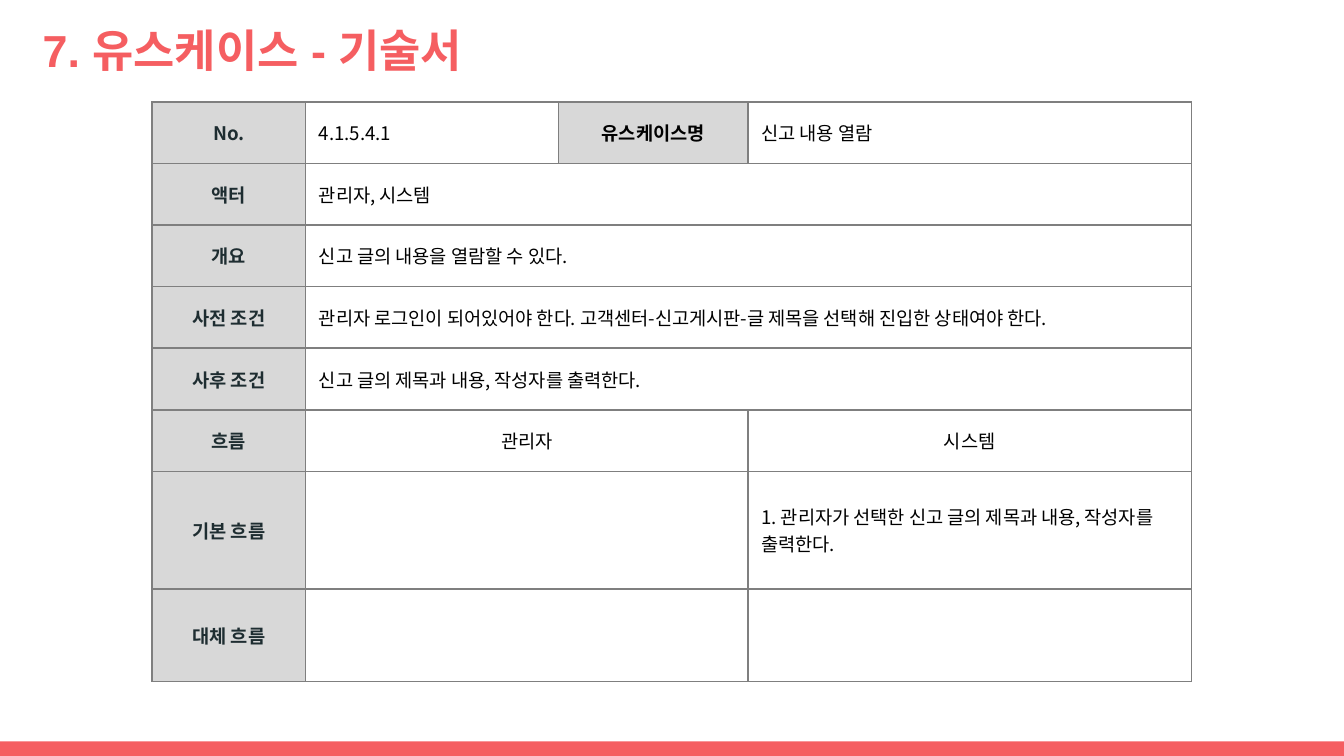
import pptx
import pptx.util
import pptx.dml.color
import pptx.enum.shapes
import pptx.enum.text
import pptx.oxml
import pptx.oxml.ns

Pt = pptx.util.Pt
RGBColor = pptx.dml.color.RGBColor
PP_ALIGN = pptx.enum.text.PP_ALIGN
MIDDLE = pptx.enum.text.MSO_ANCHOR.MIDDLE

CORAL = RGBColor(0xF5, 0x5E, 0x61)
LABEL_GRAY = RGBColor(0xD8, 0xD8, 0xD8)
BORDER_GRAY = RGBColor(0x7F, 0x7F, 0x7F)
SLATE = RGBColor(0x1E, 0x2D, 0x31)
BLACK = RGBColor(0, 0, 0)


def write_text(para, text, font_name, size, color, bold):
    span = para.add_run()
    span.text = text
    para.font.size = Pt(size)
    para.font.bold = bold
    para.font.color.rgb = color
    para.font.name = font_name
    # Korean glyphs take the East Asian typeface, which is set on the run
    east_asian = pptx.oxml.parse_xml(
        f'<a:ea {pptx.oxml.ns.nsdecls("a")} typeface="{font_name}"/>')
    span.font._element.append(east_asian)


def add_borders(cell):
    properties = cell._tc.get_or_add_tcPr()
    for side in ("lnL", "lnR", "lnT", "lnB"):
        properties.append(pptx.oxml.parse_xml(
            f'<a:{side} {pptx.oxml.ns.nsdecls("a")} w="{Pt(1)}">'
            f'<a:solidFill><a:srgbClr val="{BORDER_GRAY}"/></a:solidFill></a:{side}>'))


deck = pptx.Presentation()
deck.slide_width = Pt(720)
deck.slide_height = Pt(405)
page = deck.slides.add_slide(deck.slide_layouts[6])

# Bottom band
band = page.shapes.add_shape(
    pptx.enum.shapes.MSO_SHAPE.RECTANGLE, Pt(0), Pt(397.2), Pt(720), Pt(7.8))
band.shadow.inherit = False
band.fill.solid()
band.fill.fore_color.rgb = CORAL
band.line.fill.background()

# Title
title = page.shapes.add_textbox(Pt(15.8), Pt(5), Pt(671), Pt(43.2))
frame = title.text_frame
frame.word_wrap = True
frame.vertical_anchor = MIDDLE
write_text(frame.paragraphs[0], "7. 유스케이스 - 기술서", "Arial", 24, CORAL, True)

# Use case table: (first column, last column, text) for each cell after the row label
column_widths = [82.2, 135.5, 101.5, 237.6]
row_heights = [33] * 6 + [63, 49.6]
rows = [
    ("No.", [(1, 1, "4.1.5.4.1"), (2, 2, "유스케이스명"), (3, 3, "신고 내용 열람")]),
    ("액터", [(1, 3, "관리자, 시스템")]),
    ("개요", [(1, 3, "신고 글의 내용을 열람할 수 있다.")]),
    ("사전 조건", [(1, 3, "관리자 로그인이 되어있어야 한다. 고객센터-신고게시판-글 제목을 "
                       "선택해 진입한 상태여야 한다.")]),
    ("사후 조건", [(1, 3, "신고 글의 제목과 내용, 작성자를 출력한다.")]),
    ("흐름", [(1, 2, "관리자"), (3, 3, "시스템")]),
    ("기본 흐름", [(1, 2, ""), (3, 3, "1. 관리자가 선택한 신고 글의 제목과 내용, "
                                "작성자를 출력한다.")]),
    ("대체 흐름", [(1, 2, ""), (3, 3, "")]),
]
table = page.shapes.add_table(
    len(rows), len(column_widths), Pt(81.5), Pt(54.6),
    Pt(sum(column_widths)), Pt(sum(row_heights))).table
table.first_row = False
table.horz_banding = False
for column, width in zip(table.columns, column_widths):
    column.width = Pt(width)
for row, height in zip(table.rows, row_heights):
    row.height = Pt(height)

for cell in table.iter_cells():
    add_borders(cell)
    cell.fill.background()
    cell.vertical_anchor = MIDDLE

for row_index, (label, entries) in enumerate(rows):
    for first, last, text in [(0, 0, label)] + entries:
        cell = table.cell(row_index, first)
        if last > first:
            cell.merge(table.cell(row_index, last))
        is_label = first == 0 or text == "유스케이스명"
        if is_label:
            cell.fill.solid()
            cell.fill.fore_color.rgb = LABEL_GRAY
        if text:
            para = cell.text_frame.paragraphs[0]
            centered = is_label or label == "흐름"
            para.alignment = PP_ALIGN.CENTER if centered else PP_ALIGN.LEFT
            write_text(para, text, "Noto Sans CJK KR", 10,
                       SLATE if first == 0 else BLACK, is_label)

deck.save("out.pptx")
